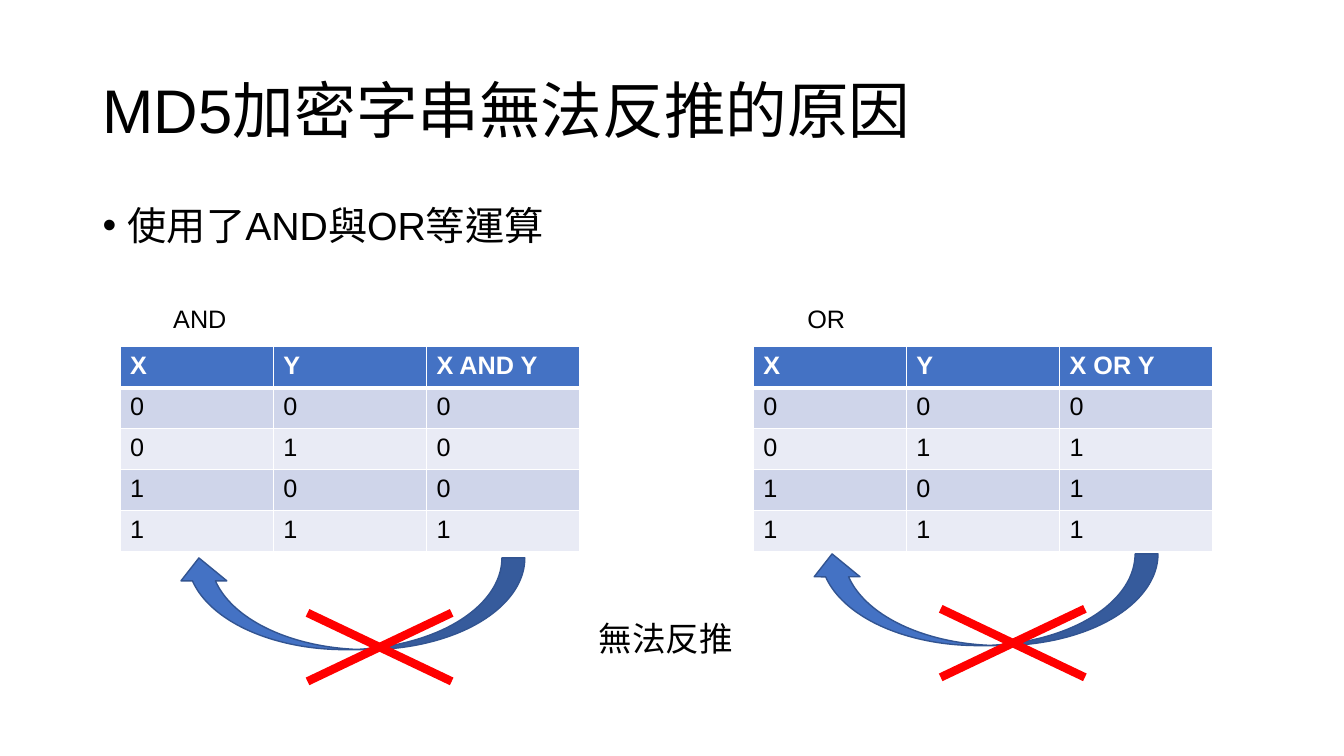
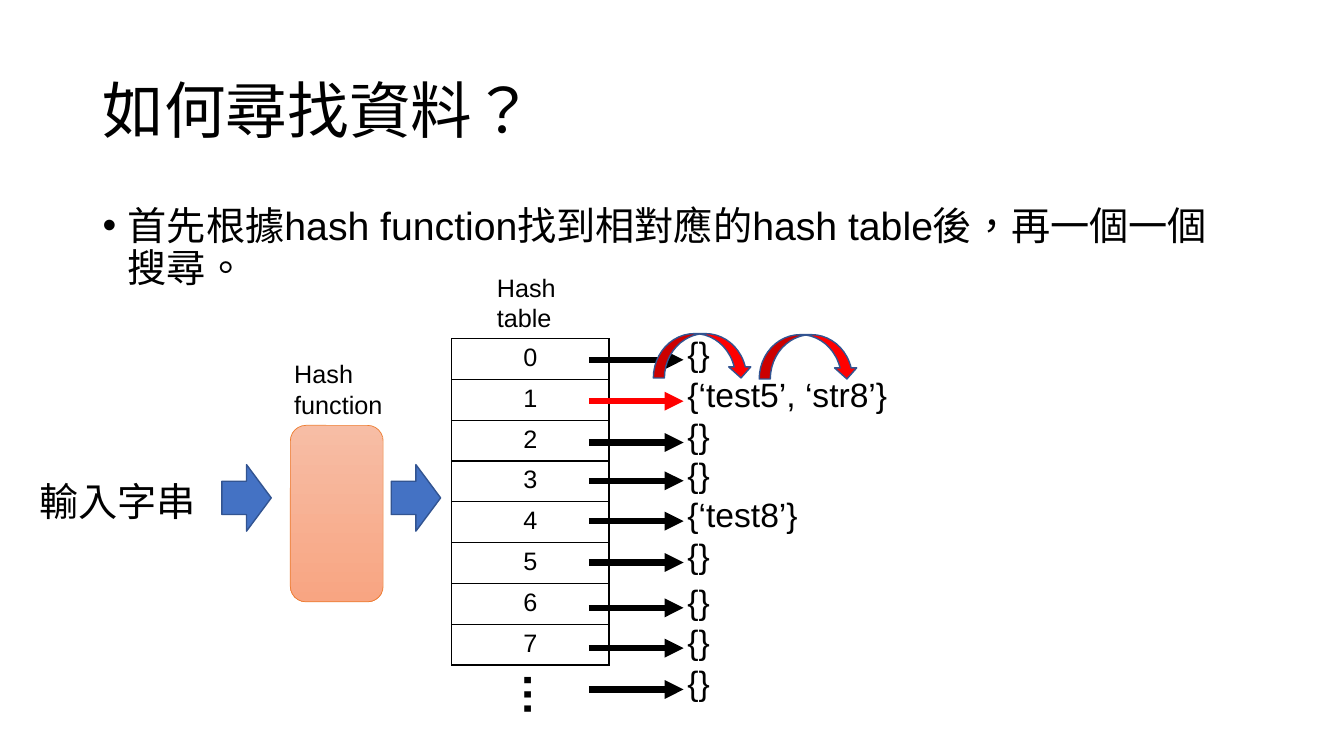
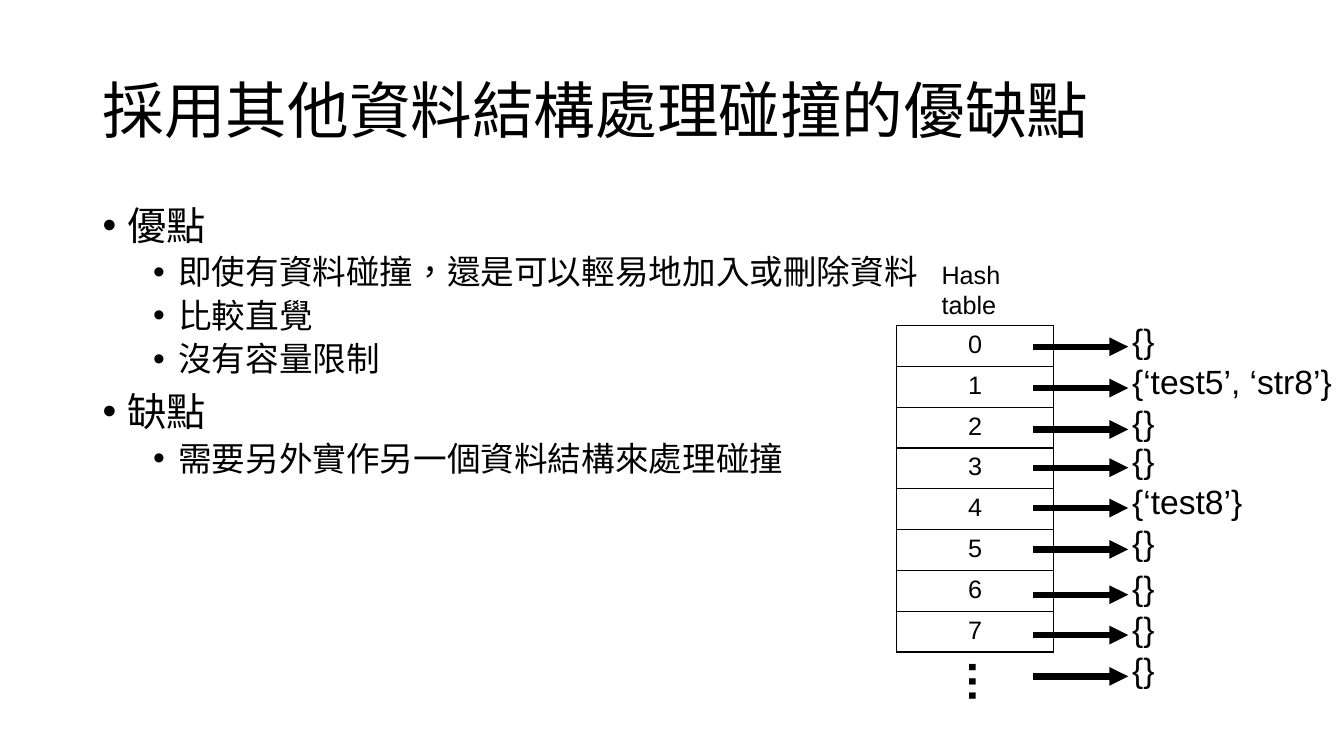
import lxml.etree
import pptx
import pptx.dml.color
import pptx.enum.dml
import pptx.enum.lang
import pptx.enum.shapes
import pptx.enum.text
import pptx.oxml
import pptx.oxml.ns
import pptx.util

Inches = pptx.util.Inches
Pt = pptx.util.Pt
RGBColor = pptx.dml.color.RGBColor
qn = pptx.oxml.ns.qn
Shape = pptx.enum.shapes.MSO_SHAPE
Align = pptx.enum.text.PP_ALIGN

FONT = "Arial"
BLACK = RGBColor(0x00, 0x00, 0x00)
WHITE = RGBColor(0xFF, 0xFF, 0xFF)
RED = RGBColor(0xFF, 0x00, 0x00)
BLUE = RGBColor(0x44, 0x72, 0xC4)
NAVY = RGBColor(0x32, 0x54, 0x91)
BANDS = (RGBColor(0xCF, 0xD5, 0xEA), RGBColor(0xE9, 0xEB, 0xF5))
PEACH = RGBColor(0xF7, 0xBD, 0xA5)
CORAL = RGBColor(0xF8, 0xA5, 0x82)
AMBER = RGBColor(0xED, 0x7D, 0x31)

PAIRS = ((0, 0), (0, 1), (1, 0), (1, 1))
LISTS = ("{}", "{‘test5’, ‘str8’}", "{}", "{}", "{‘test8’}", "{}", "{}", "{}", "{}")
DROPS = (0.21, 0.62, 1.03, 1.41, 1.81, 2.22, 2.67, 3.07, 3.48)


def write(para, text, size=18, color=BLACK, bold=False, align=None, lead=None, before=None):
    run = para.add_run()
    run.text = text
    font = run.font
    font.name, font.size, font.bold = FONT, Pt(size), bold
    font.color.rgb = color
    font.language_id = pptx.enum.lang.MSO_LANGUAGE_ID.TRADITIONAL_CHINESE
    para.alignment = align
    para.line_spacing = lead
    if before is not None:
        para.space_before = Pt(before)


class Deck:
    """Hold the shared style and the current slide."""

    def __init__(self):
        self.show = pptx.Presentation()
        self.show.slide_width = Inches(13.33)
        self.show.slide_height = Inches(7.5)

    def start(self, title, points):
        self.slide = self.show.slides.add_slide(self.show.slide_layouts[6])
        head = self.frame(0.92, 0.4, 11.5, 1.45)
        head.vertical_anchor = pptx.enum.text.MSO_ANCHOR.MIDDLE
        write(head.paragraphs[0], title, size=44, lead=0.9)
        body = self.frame(0.92, 2, 11.5, 4.76)
        for num, (level, text) in enumerate(points):
            para = body.add_paragraph() if num else body.paragraphs[0]
            write(para, text, size=24 if level else 28, lead=0.9, before=5 if level else 10)
            self.bullet(para, level)

    def bullet(self, para, level):
        para.level = level
        props = para._p.get_or_add_pPr()
        props.set("marL", str(Inches(0.25 + 0.5 * level)))
        props.set("indent", str(Inches(-0.25)))
        lxml.etree.SubElement(props, qn("a:buFont")).set("typeface", FONT)
        lxml.etree.SubElement(props, qn("a:buChar")).set("char", "•")

    def frame(self, left, top, width, height, wrap=True, turn=0):
        box = self.slide.shapes.add_textbox(Inches(left), Inches(top), Inches(width), Inches(height))
        box.rotation = turn
        box.text_frame.word_wrap = wrap
        return box.text_frame

    def label(self, text, left, top, width, height, wrap=False, turn=0, **style):
        frame = self.frame(left, top, width, height, wrap, turn)
        frame.auto_size = pptx.enum.text.MSO_AUTO_SIZE.SHAPE_TO_FIT_TEXT
        write(frame.paragraphs[0], text, **style)

    def shape(self, kind, left, top, width, height, fill=BLUE, edge=NAVY, weight=1, turn=0):
        item = self.slide.shapes.add_shape(kind, Inches(left), Inches(top), Inches(width), Inches(height))
        item.shadow.inherit = False
        item.rotation = turn
        if isinstance(fill, RGBColor):
            item.fill.solid()
            item.fill.fore_color.rgb = fill
        else:
            item.fill.gradient()
            item.fill.gradient_angle = 270
            for stop, color in zip(item.fill.gradient_stops, fill):
                stop.color.rgb = color
        item.line.color.rgb = edge
        item.line.width = Pt(weight)

    def line(self, left, top, right, end, color=BLACK, weight=4.5, arrow=False):
        link = self.slide.shapes.add_connector(
            pptx.enum.shapes.MSO_CONNECTOR.STRAIGHT,
            Inches(left), Inches(top), Inches(right), Inches(end))
        link.line.color.rgb = color
        link.line.width = Pt(weight)
        if arrow:
            tail = lxml.etree.SubElement(link.line._get_or_add_ln(), qn("a:tailEnd"))
            tail.set("type", "triangle")
        lxml.etree.SubElement(link._element.spPr, qn("a:effectLst"))

    def border(self, cell, color, top=1, bottom=1):
        props = cell._tc.get_or_add_tcPr()
        for spot, (side, weight) in enumerate((("L", 1), ("R", 1), ("T", top), ("B", bottom))):
            edge = lxml.etree.Element(qn("a:ln" + side), w=str(Pt(weight)))
            fill = lxml.etree.SubElement(edge, qn("a:solidFill"))
            lxml.etree.SubElement(fill, qn("a:srgbClr")).set("val", str(color))
            props.insert(spot, edge)

    def table(self, rows, left, top, width, height, head=False, align=None):
        grid = self.slide.shapes.add_table(
            len(rows), len(rows[0]), Inches(left), Inches(top), Inches(width), Inches(height)).table
        grid.first_row = grid.horz_banding = False
        for num, row in enumerate(rows):
            first = head and num == 0
            for cell, text in zip(grid.rows[num].cells, row):
                write(cell.text_frame.paragraphs[0], str(text),
                      color=WHITE if first else BLACK, bold=first, align=align)
                if head:
                    cell.fill.solid()
                    cell.fill.fore_color.rgb = BLUE if first else BANDS[(num - 1) % 2]
                    self.border(cell, WHITE, top=3 if num == 1 else 1, bottom=3 if first else 1)
                else:
                    cell.fill.background()
                    self.border(cell, BLACK)

    def truth(self, name, solve, left, indent, width, drop):
        rows = [("X", "Y", f"X {name} Y")] + [(x, y, solve(x, y)) for x, y in PAIRS]
        self.table(rows, left, 3.44, 4.56, 2.03, head=True)
        self.label(name, left + indent, 2.96, width, 0.4)
        self.shape(Shape.CURVED_LEFT_ARROW, left + 1.83, drop, 0.91, 3.46, turn=90)
        low, high = drop + 2.5, drop + 1.82
        for begin, end in ((low, high), (high, low)):
            self.line(left + 1.86, begin, left + 3.29, end, color=RED, weight=6)

    def hashes(self, left, top, found=None):
        self.table([(num,) for num in range(8)], left, top, 1.56, 3.24, align=Align.CENTER)
        self.label("Hash table", left + 0.35, top - 0.71, 0.86, 0.71, wrap=True)
        self.label("…", left + 0.57, top + 3.22, 0.65, 0.64, turn=90, size=32, bold=True)
        widths = {"{}": 0.43, "{‘test8’}": 1.31, "{‘test5’, ‘str8’}": 2.2}
        for num, (text, drop) in enumerate(zip(LISTS, DROPS)):
            mid = top + drop
            self.line(left + 1.36, mid, left + 2.3, mid, color=RED if num == found else BLACK, arrow=True)
            self.label(text, left + 2.24, mid - 0.32, widths[text], 0.5, size=24)


def main():
    deck = Deck()

    deck.start("MD5加密字串無法反推的原因", [(0, "使用了AND與OR等運算")])
    deck.truth("AND", lambda x, y: x & y, 1.19, 0.43, 0.73, 4.26)
    deck.truth("OR", lambda x, y: x | y, 7.47, 0.44, 0.58, 4.22)
    deck.label("無法反推", 5.84, 6.08, 1.55, 0.5, size=24)

    deck.start("如何尋找資料？", [(0, "首先根據hash function找到相對應的hash table後，再一個一個搜尋。")])
    deck.label("輸入字串", 0.29, 4.69, 1.77, 0.57, size=28)
    deck.shape(Shape.ROUNDED_RECTANGLE, 2.88, 4.22, 0.92, 1.75, fill=(PEACH, CORAL), edge=AMBER, weight=0.5)
    deck.label("Hash function", 2.82, 3.51, 1.34, 0.71, wrap=True)
    for left in (2.2, 3.88):
        deck.shape(Shape.RIGHT_ARROW, left, 4.61, 0.49, 0.66)
    deck.hashes(4.48, 3.36, found=1)
    for left, top in ((6.48, 3.31), (7.53, 3.32)):
        deck.shape(Shape.CURVED_DOWN_ARROW, left, top, 0.98, 0.44, fill=RED)

    deck.start("採用其他資料結構處理碰撞的優缺點", [
        (0, "優點"),
        (1, "即使有資料碰撞，還是可以輕易地加入或刪除資料"),
        (1, "比較直覺"),
        (1, "沒有容量限制"),
        (0, "缺點"),
        (1, "需要另外實作另一個資料結構來處理碰撞"),
    ])
    deck.hashes(8.89, 3.23)

    deck.show.save("out.pptx")


if __name__ == "__main__":
    main()
